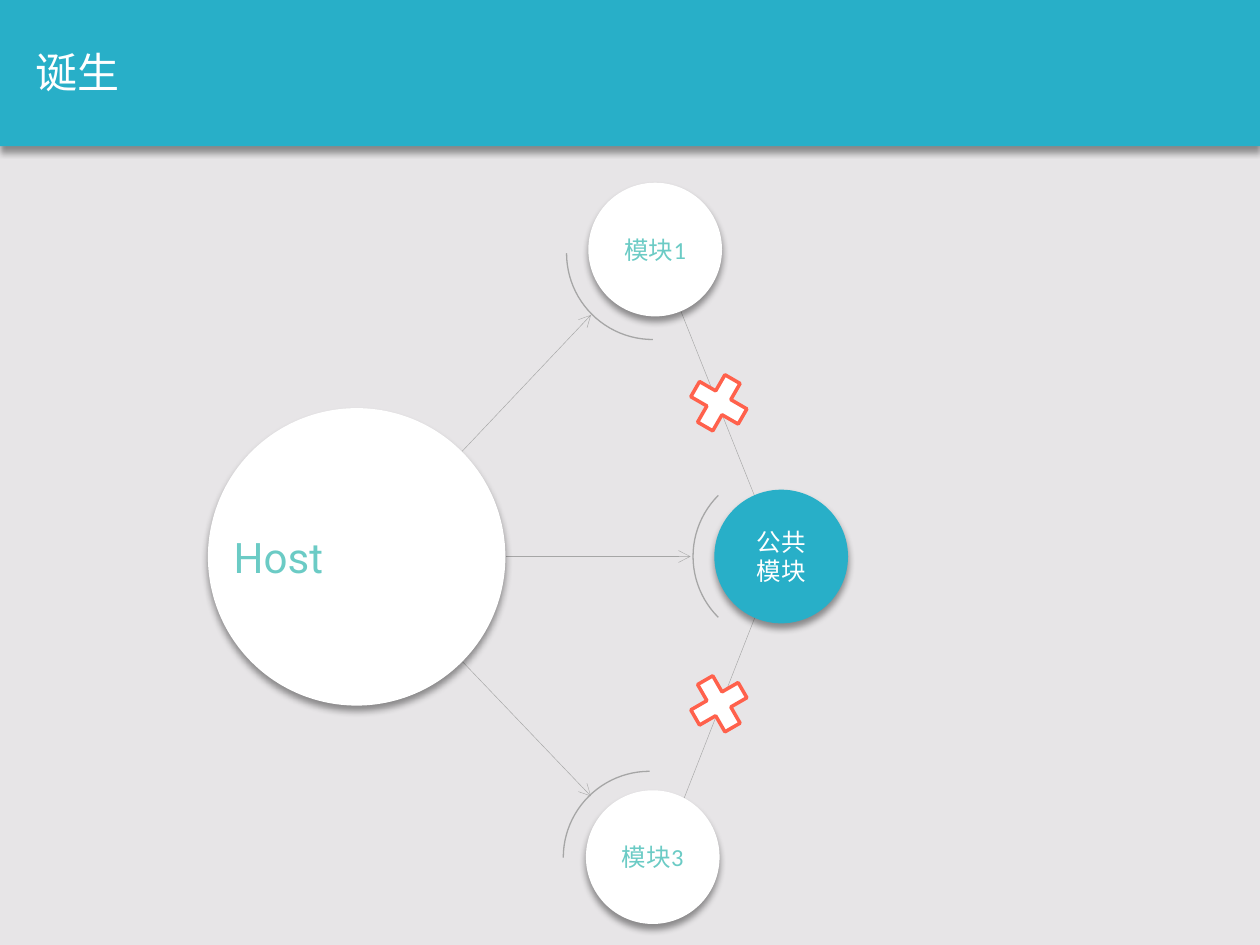
from lxml.etree import SubElement
from pptx import Presentation
from pptx.dml.color import RGBColor
from pptx.enum.shapes import MSO_CONNECTOR, MSO_SHAPE
from pptx.enum.text import MSO_ANCHOR, MSO_AUTO_SIZE, PP_ALIGN
from pptx.oxml.ns import qn
from pptx.util import Pt

TEAL = RGBColor(0x28, 0xAF, 0xC8)
MINT = RGBColor(0x6B, 0xCB, 0xC5)
CORAL = RGBColor(0xFF, 0x61, 0x4C)
GREY = RGBColor(0xA6, 0xA6, 0xA6)
PALE = RGBColor(0xE7, 0xE5, 0xE7)
WHITE = RGBColor(0xFF, 0xFF, 0xFF)

HOST_SIZE, MODULE_SIZE, ARC_SIZE, CROSS_SIZE = 170, 76.4, 98.6, 42.5


def style_text(frame, text, font, size, color, align):
    frame.text = text
    frame.vertical_anchor = MSO_ANCHOR.MIDDLE
    for paragraph in frame.paragraphs:
        paragraph.alignment = align
        for run in paragraph.runs:
            run.font.name = font
            run.font.size = Pt(size)
            run.font.color.rgb = color


def add_filled(slide, kind, left, top, width, height, fill):
    shape = slide.shapes.add_shape(kind, Pt(left), Pt(top), Pt(width), Pt(height))
    shape.fill.solid()
    shape.fill.fore_color.rgb = fill
    shape.line.fill.background()
    shape.shadow.inherit = False
    return shape


def add_centred(slide, kind, center, size, fill=WHITE):
    x, y = center
    return add_filled(slide, kind, x - size / 2, y - size / 2, size, size, fill)


def drop_shadow(shape):
    effects = shape._element.spPr.find(qn("a:effectLst"))
    shadow = SubElement(effects, qn("a:outerShdw"), blurRad=str(Pt(4)),
                        dist=str(Pt(3)), dir="5400000", rotWithShape="0")
    color = SubElement(shadow, qn("a:srgbClr"), val="000000")
    SubElement(color, qn("a:alpha"), val="40000")


def add_arrow(slide, start, end):
    arrow = slide.shapes.add_connector(
        MSO_CONNECTOR.STRAIGHT, *(Pt(length) for length in (*start, *end)))
    arrow.line.color.rgb = GREY
    arrow.line.width = Pt(0.25)
    properties = arrow._element.spPr
    SubElement(properties.find(qn("a:ln")), qn("a:tailEnd"), type="arrow")
    SubElement(properties, qn("a:effectLst"))


def draw_header(slide, left, top, width, height):
    banner = add_filled(slide, MSO_SHAPE.RECTANGLE, left, top, width, height, TEAL)
    drop_shadow(banner)

    # Title, raised above the banner
    title = slide.shapes.title
    title.left, title.top = Pt(left + 13), Pt(top - 1)
    title.width, title.height = Pt(403), Pt(height + 1)
    title.text_frame.auto_size = MSO_AUTO_SIZE.NONE
    style_text(title.text_frame, "诞生", "Roboto", 24, WHITE, PP_ALIGN.LEFT)
    banner._element.addnext(title._element)


def draw_module_diagram(slide, left, top):
    def at(x, y):
        return left + x, top + y

    # Links between the common module and the others
    common = at(327, 228)
    add_arrow(slide, at(257, 406.8), common)
    add_arrow(slide, common, at(257, 52.6))

    # Arrows from the host
    for start, end in [((146.2, 167.8), (219.7, 90)),
                       ((171.4, 228), (276.6, 228)),
                       ((146.2, 288), (219.7, 365))]:
        add_arrow(slide, at(*start), at(*end))

    # Host
    host = add_centred(slide, MSO_SHAPE.OVAL, at(85.8, 228.2), HOST_SIZE)
    drop_shadow(host)
    x, y = at(2.2, 207.4)
    host_label = slide.shapes.add_textbox(Pt(x), Pt(y), Pt(77.8), Pt(41.8))
    host_label.text_frame.word_wrap = False
    style_text(host_label.text_frame, "Host", "Roboto", 24, MINT, PP_ALIGN.CENTER)

    # Boundary arcs facing the host
    for center, rotation in [((255, 54.7), 180), ((327.3, 227.9), 225),
                             ((253.2, 400), 270)]:
        arc = add_centred(slide, MSO_SHAPE.ARC, at(*center), ARC_SIZE)
        arc.fill.background()
        arc.line.color.rgb = GREY
        arc.line.width = Pt(0.75)
        arc.rotation = rotation

    # Crosses on the blocked links
    for center, rotation in [((292.8, 140.2), 345), ((292.8, 312.2), 15)]:
        cross = add_centred(slide, MSO_SHAPE.MATH_MULTIPLY, at(*center), CROSS_SIZE)
        cross.line.color.rgb = CORAL
        cross.line.width = Pt(2)
        cross.rotation = rotation

    # Modules
    for text, center, fill, color in [
            ("模块1", (256.4, 52.6), WHITE, MINT),
            ("公共\n模块", (328.4, 228), TEAL, WHITE),
            ("模块3", (255, 399.8), WHITE, MINT)]:
        module = add_centred(slide, MSO_SHAPE.OVAL, at(*center), MODULE_SIZE, fill)
        drop_shadow(module)
        module.text_frame.word_wrap = False
        style_text(module.text_frame, text, "Calibri", 14, color, PP_ALIGN.CENTER)


def main():
    presentation = Presentation()
    presentation.slide_width, presentation.slide_height = Pt(720), Pt(540)
    slide = presentation.slides.add_slide(presentation.slide_layouts[5])
    slide.background.fill.solid()
    slide.background.fill.fore_color.rgb = PALE
    draw_header(slide, 0, 0, 720, 83.5)
    draw_module_diagram(slide, 118, 90)
    presentation.save("out.pptx")


if __name__ == "__main__":
    main()
